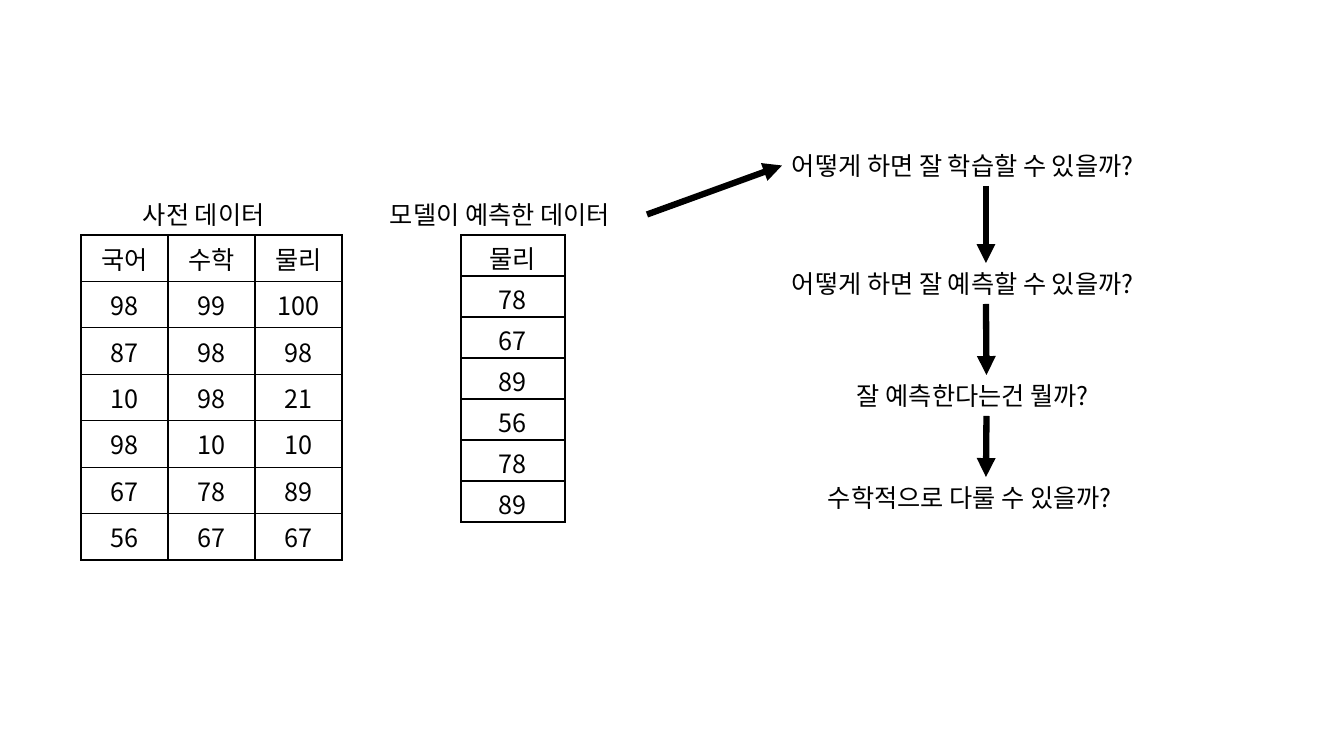
from dataclasses import dataclass
from itertools import pairwise

from lxml import etree
from pptx import Presentation
from pptx import util as u
from pptx.dml.color import RGBColor
from pptx.enum import shapes, text
from pptx.oxml.ns import qn

PX = 914400 / 100.8
FONT = "Noto Sans CJK KR"
BLACK = "000000"
ROW_HEIGHT = 41
LABEL_HEIGHT = 41
TABLE_TOP = 235
LABEL_TOP = 194
TOP, LEFT, BOTTOM, RIGHT = range(4)


@dataclass(frozen=True)
class Label:
    words: str
    left: int
    top: int
    width: int


@dataclass(frozen=True)
class Grid:
    left: int
    column_width: int
    rows: list[list[str]]
    anchor: text.MSO_ANCHOR
    margin_top: int
    margin_bottom: int


PRIOR_LABEL = Label("사전 데이터", 133, LABEL_TOP, 156)
PREDICTED_LABEL = Label("모델이 예측한 데이터", 380, LABEL_TOP, 267)
QUESTIONS = [
    Label("어떻게 하면 잘 학습할 수 있을까?", 782, 145, 408),
    Label("어떻게 하면 잘 예측할 수 있을까?", 782, 263, 408),
    Label("잘 예측한다는건 뭘까?", 847, 375, 279),
    Label("수학적으로 다룰 수 있을까?", 818, 477, 336),
]
GRIDS = [
    Grid(81, 87, [
        ["국어", "수학", "물리"],
        ["98", "99", "100"],
        ["87", "98", "98"],
        ["10", "98", "21"],
        ["98", "10", "10"],
        ["67", "78", "89"],
        ["56", "67", "67"],
    ], text.MSO_ANCHOR.MIDDLE, 5, 5),
    Grid(461, 104, [["물리"], ["78"], ["67"], ["89"], ["56"], ["78"], ["89"]],
         text.MSO_ANCHOR.TOP, 4, 0),
]


def px(length: int) -> u.Emu:
    return u.Emu(round(length * PX))


def color(value: str) -> RGBColor:
    return RGBColor.from_string(value)


def write(paragraph, words: str, align: text.PP_ALIGN) -> None:
    paragraph.text = words
    paragraph.alignment = align
    font = paragraph.font
    font.size = u.Pt(18)
    font.name = FONT
    font.color.rgb = color(BLACK)
    defaults = paragraph._p.pPr.find(qn("a:defRPr"))
    etree.SubElement(defaults, qn("a:ea"), typeface=FONT)


def add_label(page, label: Label):
    box = page.shapes.add_textbox(
        px(label.left), px(label.top), px(label.width), px(LABEL_HEIGHT))
    frame = box.text_frame
    frame.word_wrap = True
    frame.auto_size = text.MSO_AUTO_SIZE.SHAPE_TO_FIT_TEXT
    write(frame.paragraphs[0], label.words, text.PP_ALIGN.LEFT)
    return box


def add_borders(cell) -> None:
    properties = cell._tc.get_or_add_tcPr()
    for position, side in enumerate(("a:lnL", "a:lnR", "a:lnT", "a:lnB")):
        line = etree.Element(qn(side), w=str(u.Pt(1)))
        fill = etree.SubElement(line, qn("a:solidFill"))
        etree.SubElement(fill, qn("a:srgbClr"), val=BLACK)
        properties.insert(position, line)


def add_grid(page, grid: Grid) -> None:
    row_count, column_count = len(grid.rows), len(grid.rows[0])
    table = page.shapes.add_table(
        row_count, column_count, px(grid.left), px(TABLE_TOP),
        px(grid.column_width * column_count), px(ROW_HEIGHT * row_count)).table
    table.first_row = False
    table.horz_banding = False
    for column in table.columns:
        column.width = px(grid.column_width)
    for row, values in zip(table.rows, grid.rows):
        row.height = px(ROW_HEIGHT)
        for cell, value in zip(row.cells, values):
            cell.fill.background()
            cell.vertical_anchor = grid.anchor
            cell.margin_top = px(grid.margin_top)
            cell.margin_bottom = px(grid.margin_bottom)
            write(cell.text_frame.paragraphs[0], value, text.PP_ALIGN.CENTER)
            add_borders(cell)


def add_arrow(page, start, start_side: int, end, end_side: int) -> None:
    arrow = page.shapes.add_connector(shapes.MSO_CONNECTOR.STRAIGHT, 0, 0, 0, 0)
    arrow.begin_connect(start, start_side)
    arrow.end_connect(end, end_side)
    arrow.line.width = u.Pt(4.5)
    arrow.line.color.rgb = color(BLACK)
    etree.SubElement(arrow.line._get_or_add_ln(), qn("a:tailEnd"), type="triangle")
    etree.SubElement(arrow._element.spPr, qn("a:effectLst"))


def main() -> None:
    deck = Presentation()
    deck.slide_width, deck.slide_height = px(1344), px(756)
    page = deck.slides.add_slide(deck.slide_layouts[6])
    for grid in GRIDS:
        add_grid(page, grid)
    add_label(page, PRIOR_LABEL)
    predicted = add_label(page, PREDICTED_LABEL)
    questions = [add_label(page, question) for question in QUESTIONS]
    add_arrow(page, predicted, RIGHT, questions[0], LEFT)
    for upper, lower in pairwise(questions):
        add_arrow(page, upper, BOTTOM, lower, TOP)
    deck.save("out.pptx")


if __name__ == "__main__":
    main()
